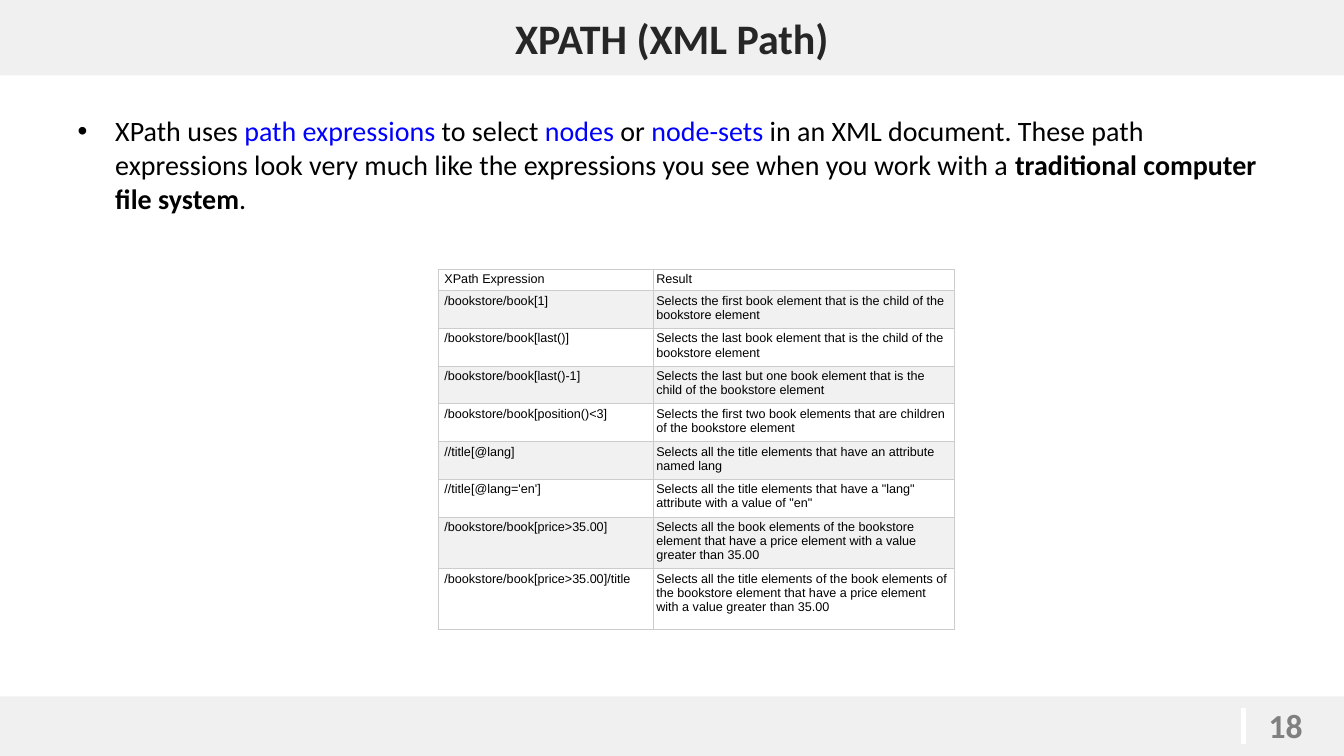
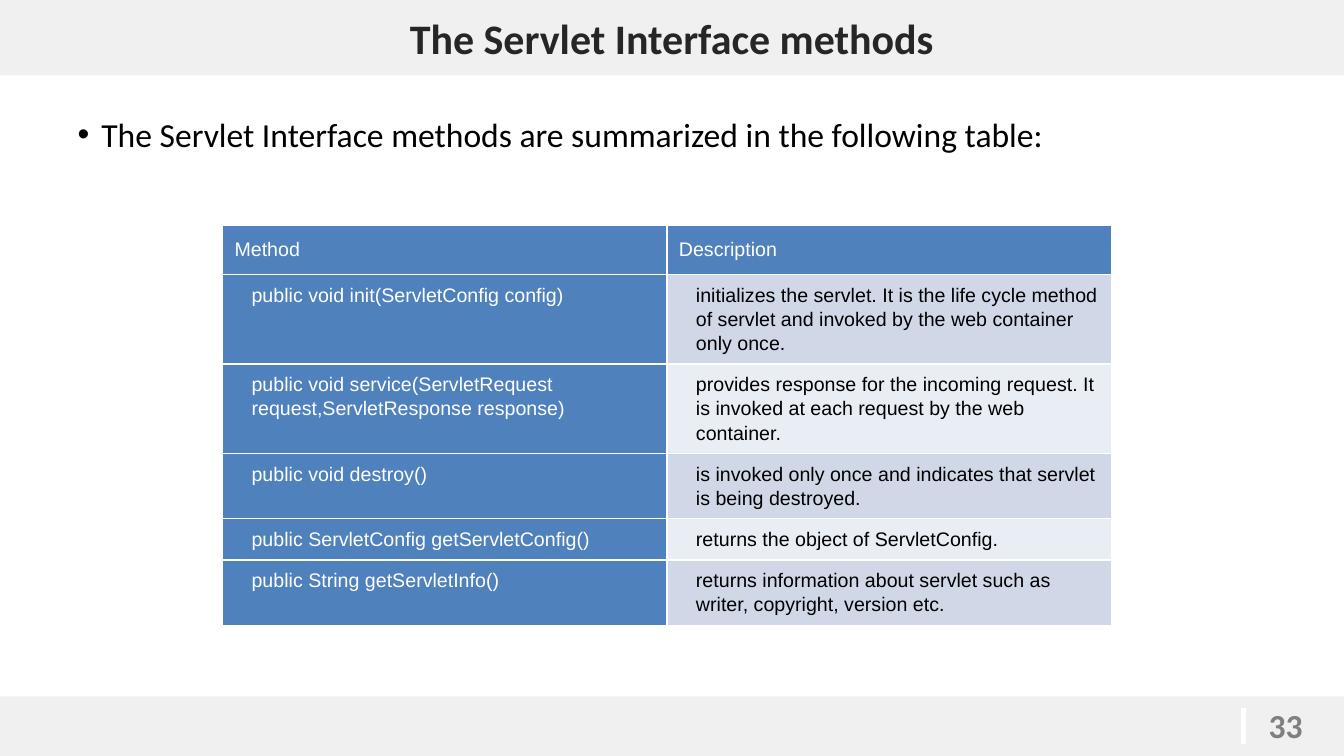
from collections import namedtuple

from lxml.etree import SubElement
from pptx import Presentation
from pptx.dml.color import RGBColor
from pptx.enum.shapes import MSO_CONNECTOR as Connector, MSO_SHAPE as Shape
from pptx.enum.text import MSO_ANCHOR as Anchor, MSO_AUTO_SIZE as AutoSize, PP_ALIGN as Align
from pptx.oxml.ns import qn
from pptx.util import Cm, Pt

Box = namedtuple("Box", "left top width height")
TableStyle = namedtuple("TableStyle", "border border_width size")

WIDTH, HEIGHT = 33.87, 19.05
TITLE_BOX = Box(0, 0, WIDTH, 1.9)
BODY_BOX = Box(1.7, 2.74, 30.48, 14.27)
FOOTER_BOX = Box(0, 17.55, WIDTH, 1.5)

BAND = "F0F0F0"
WHITE = "FFFFFF"
BLACK = "000000"
TITLE_INK = "262626"
NUMBER_INK = "808080"
KEYWORD = "0000FF"
HEADER_BLUE = "4F81BD"
XPATH_STRIPES = ("FFFFFF", "F1F1F1")
METHOD_STRIPES = ("E9EDF4", "D0D8E8")

XPATH_STYLE = TableStyle("CCCCCC", 0.5, 9)
METHOD_STYLE = TableStyle(WHITE, 1, 14)

XPATH_INTRO = [
    ("XPath uses ", {}),
    ("path expressions", {"color": KEYWORD}),
    (" to select ", {}),
    ("nodes", {"color": KEYWORD}),
    (" or ", {}),
    ("node-sets", {"color": KEYWORD}),
    (" in an XML document. These path expressions look very much like the "
     "expressions you see when you work with a ", {}),
    ("traditional computer file system", {"bold": True}),
    (".", {}),
]
XPATH_ROWS = [
    ("XPath Expression", "Result"),
    ("/bookstore/book[1]",
     "Selects the first book element that is the child of the bookstore element"),
    ("/bookstore/book[last()]",
     "Selects the last book element that is the child of the bookstore element"),
    ("/bookstore/book[last()-1]",
     "Selects the last but one book element that is the child of the bookstore element"),
    ("/bookstore/book[position()<3]",
     "Selects the first two book elements that are children of the bookstore element"),
    ("//title[@lang]",
     "Selects all the title elements that have an attribute named lang"),
    ("//title[@lang='en']",
     'Selects all the title elements that have a "lang" attribute with a value of "en"'),
    ("/bookstore/book[price>35.00]",
     "Selects all the book elements of the bookstore element that have a price element "
     "with a value greater than 35.00"),
    ("/bookstore/book[price>35.00]/title",
     "Selects all the title elements of the book elements of the bookstore element that "
     "have a price element with a value greater than 35.00"),
]
METHOD_INTRO = [("The Servlet Interface methods are summarized in the following table:", {})]
METHOD_ROWS = [
    ("Method", "Description"),
    ("public void init(ServletConfig config)",
     "initializes the servlet. It is the life cycle method of servlet and invoked by the "
     "web container only once."),
    ("public void service(ServletRequest request,ServletResponse response)",
     "provides response for the incoming request. It is invoked at each request by the "
     "web container."),
    ("public void destroy()",
     "is invoked only once and indicates that servlet is being destroyed."),
    ("public ServletConfig getServletConfig()", "returns the object of ServletConfig."),
    ("public String getServletInfo()",
     "returns information about servlet such as writer, copyright, version etc."),
]


def rgb(value):
    return RGBColor.from_string(value)


def paint(target, color):
    target.fill.solid()
    target.fill.fore_color.rgb = rgb(color)


def place(shape, box):
    shape.left, shape.top, shape.width, shape.height = map(Cm, box)


def write(para, text, font="Calibri", size=20, color=BLACK, bold=False):
    span = para.add_run()
    span.text = text
    span.font.name = font
    span.font.size = Pt(size)
    span.font.color.rgb = rgb(color)
    span.font.bold = bold


def indent(para, left, first=0):
    properties = para._p.get_or_add_pPr()
    properties.set("marL", str(Cm(left)))
    properties.set("indent", str(Cm(first)))


def add_title(page, box, text):
    title = page.shapes.title
    place(title, box)
    paint(title, BAND)
    frame = title.text_frame
    frame.auto_size = AutoSize.NONE
    frame.vertical_anchor = Anchor.MIDDLE
    para = frame.paragraphs[0]
    para.alignment = Align.CENTER
    write(para, text, size=30, color=TITLE_INK, bold=True)


def add_bullet(page, box, spans, size, hanging):
    body = page.placeholders[1]
    place(body, box)
    body.text_frame.auto_size = AutoSize.NONE
    para = body.text_frame.paragraphs[0]
    indent(para, hanging, -hanging)
    for text, look in spans:
        write(para, text, size=size, **look)


def add_footer(page, box, number):
    band = page.shapes.add_shape(Shape.RECTANGLE, *map(Cm, box))
    band.shadow.inherit = False
    paint(band, BAND)
    band.line.fill.background()

    right = box.left + box.width
    label = page.shapes.add_textbox(Cm(right - 2.15), Cm(box.top + 0.1), Cm(2.15), Cm(1.27))
    label.text_frame.word_wrap = True
    write(label.text_frame.paragraphs[0], str(number), size=24, color=NUMBER_INK, bold=True)

    x = Cm(right - 2.53)
    rule = page.shapes.add_connector(
        Connector.STRAIGHT, x, Cm(box.top + 0.3), x, Cm(box.top + 1.2))
    rule.line.color.rgb = rgb(WHITE)
    rule.line.width = Pt(3)
    SubElement(rule._element.spPr, qn("a:effectLst"))


def add_borders(cell, color, width):
    properties = cell._tc.get_or_add_tcPr()
    for side in ("a:lnL", "a:lnR", "a:lnT", "a:lnB"):
        line = SubElement(properties, qn(side), w=str(Pt(width)))
        fill = SubElement(line, qn("a:solidFill"))
        SubElement(fill, qn("a:srgbClr"), val=color)


def add_grid(page, box, rows, widths, heights, style, format_cell):
    frame = page.shapes.add_table(len(rows), len(widths), *map(Cm, box))
    table = frame.table
    table.first_row = table.horz_banding = False
    for column, width in zip(table.columns, widths):
        column.width = Cm(width)
    for row, height in zip(table.rows, heights):
        row.height = Cm(height)
    for r, texts in enumerate(rows):
        for c, text in enumerate(texts):
            cell = table.cell(r, c)
            add_borders(cell, style.border, style.border_width)
            para = cell.text_frame.paragraphs[0]
            color = format_cell(cell, para, r, c)
            write(para, text, font="Arial", size=style.size, color=color)


def set_margins(cell, margin):
    cell.margin_left = cell.margin_right = Cm(margin)
    cell.margin_top = cell.margin_bottom = Cm(margin)


def format_xpath_cell(cell, para, row, column):
    set_margins(cell, 0.08)
    if column == 0:
        cell.margin_left = Cm(0.15)
    paint(cell, XPATH_STRIPES[row % 2])
    return BLACK


def format_method_cell(cell, para, row, column):
    header = row == 0
    set_margins(cell, 0.3 if header else 0.2)
    if header:
        para.line_spacing = 1.07
    else:
        para.line_spacing = Pt(17.2)
        indent(para, 0.53)
    blue = header or column == 0
    paint(cell, HEADER_BLUE if blue else METHOD_STRIPES[row % 2])
    return WHITE if blue else BLACK


def add_page(deck, title, number, spans, size, hanging):
    page = deck.slides.add_slide(deck.slide_layouts[1])
    add_title(page, TITLE_BOX, title)
    add_bullet(page, BODY_BOX, spans, size, hanging)
    add_footer(page, FOOTER_BOX, number)
    return page


def main():
    deck = Presentation()
    deck.slide_width, deck.slide_height = Cm(WIDTH), Cm(HEIGHT)

    page = add_page(deck, "XPATH (XML Path)", 18, XPATH_INTRO, 20, 0.95)
    add_grid(page, Box(11.05, 6.78, 13, 8.96), XPATH_ROWS, (5.41, 7.59),
             [0.5] + [0.95] * 6 + [1.24, 1.52], XPATH_STYLE, format_xpath_cell)

    page = add_page(deck, "The Servlet Interface methods", 33, METHOD_INTRO, 24, 0.6)
    add_grid(page, Box(5.61, 5.68, 22.4, 10.03), METHOD_ROWS, (11.2, 11.2),
             [1.19, 2.26, 2.26, 1.64, 1.04, 1.64], METHOD_STYLE, format_method_cell)

    deck.save("out.pptx")


if __name__ == "__main__":
    main()
